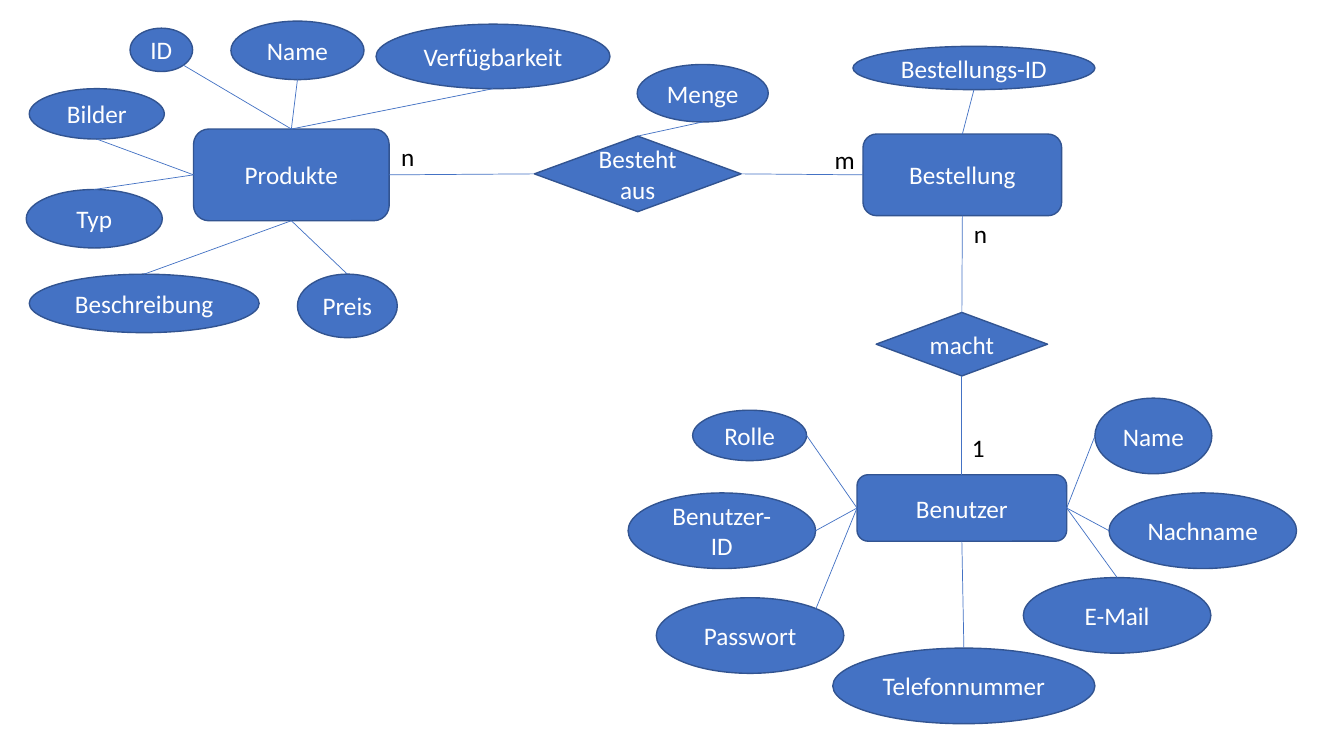
"""Build an entity-relationship diagram of a shop: products, orders and users."""
import lxml.etree
import pptx
import pptx.dml.color
import pptx.enum.shapes
import pptx.enum.text
import pptx.oxml.ns
import pptx.util

Inches, Pt = pptx.util.Inches, pptx.util.Pt
MSO = pptx.enum.shapes.MSO_SHAPE
qn = pptx.oxml.ns.qn


def rgb(value):
    return pptx.dml.color.RGBColor.from_string(value)


class Diagram:
    FONT, SIZE = "Calibri", 18
    FILL, OUTLINE, LIGHT, DARK = "4472C4", "325491", "FFFFFF", "000000"
    SITES = {
        "top": (0.5, 0, 0, 0),
        "left": (0, 0.5, 1, 2),
        "bottom": (0.5, 1, 2, 4),
        "right": (1, 0.5, 3, 6),
        "bottom right": (0.85, 0.85, None, 5),
        "top right": (0.85, 0.15, None, 7),
    }

    def __init__(self, slide):
        self.s = slide

    def add_text(self, sp, text, color):
        tf = sp.text_frame
        tf.word_wrap = True
        p = tf.paragraphs[0]
        r = p.add_run()
        r.text = text
        r.font.name, r.font.size = self.FONT, Pt(self.SIZE)
        r.font.color.rgb = rgb(color)
        return tf, p

    def node(self, kind, text, box):
        sp = self.s.shapes.add_shape(kind, *map(Inches, box))
        sp.shadow.inherit = False
        sp.fill.solid()
        sp.fill.fore_color.rgb = rgb(self.FILL)
        sp.line.color.rgb = rgb(self.OUTLINE)
        sp.line.width = Pt(1)
        tf, p = self.add_text(sp, text, self.LIGHT)
        tf.vertical_anchor = pptx.enum.text.MSO_ANCHOR.MIDDLE
        p.alignment = pptx.enum.text.PP_ALIGN.CENTER
        return sp

    def label(self, text, left, top, width=0.38):
        sp = self.s.shapes.add_textbox(*map(Inches, (left, top, width, 0.4)))
        tf, p = self.add_text(sp, text, self.DARK)
        tf.auto_size = pptx.enum.text.MSO_AUTO_SIZE.SHAPE_TO_FIT_TEXT

    def site(self, sp, side):
        fx, fy, corner, oval = self.SITES[side]
        point = int(sp.left + fx * sp.width), int(sp.top + fy * sp.height)
        return point, oval if sp.auto_shape_type == MSO.OVAL else corner

    def link(self, start, start_side, end, end_side):
        (a, i), (b, j) = self.site(start, start_side), self.site(end, end_side)
        cx = self.s.shapes.add_connector(pptx.enum.shapes.MSO_CONNECTOR.STRAIGHT, *a, *b)
        cx.line.color.rgb = rgb(self.FILL)
        cx.line.width = Pt(0.5)
        lxml.etree.SubElement(cx._element.spPr, qn("a:effectLst"))
        ends = cx._element.find(".//" + qn("p:cNvCxnSpPr"))
        for tag, sp, idx in (("a:stCxn", start, i), ("a:endCxn", end, j)):
            lxml.etree.SubElement(ends, qn(tag), id=str(sp.shape_id), idx=str(idx))

    def attributes(self, owner, rows):
        for text, box, side, owner_side in rows:
            self.link(self.node(MSO.OVAL, text, box), side, owner, owner_side)


prs = pptx.Presentation()
prs.slide_width, prs.slide_height = Inches(13.33), Inches(7.5)
d = Diagram(prs.slides.add_slide(prs.slide_layouts[6]))

produkte = d.node(MSO.ROUNDED_RECTANGLE, "Produkte", (1.92, 1.28, 1.94, 0.91))
bestellung = d.node(MSO.ROUNDED_RECTANGLE, "Bestellung", (8.56, 1.33, 1.97, 0.81))
benutzer = d.node(MSO.ROUNDED_RECTANGLE, "Benutzer", (8.5, 4.71, 2.08, 0.66))
besteht_aus = d.node(MSO.DIAMOND, "Besteht aus", (5.3, 1.35, 2.05, 0.75))
macht = d.node(MSO.DIAMOND, "macht", (8.69, 3.1, 1.7, 0.63))

d.link(produkte, "right", besteht_aus, "left")
d.link(besteht_aus, "right", bestellung, "left")
d.link(macht, "top", bestellung, "bottom")
d.link(benutzer, "top", macht, "bottom")

d.attributes(produkte, [
    ("ID", (1.29, 0.28, 0.62, 0.43), "bottom right", "top"),
    ("Name", (2.29, 0.21, 1.32, 0.58), "bottom", "top"),
    ("Verfügbarkeit", (3.73, 0.24, 2.32, 0.64), "bottom", "top"),
    ("Bilder", (0.29, 0.88, 1.34, 0.5), "bottom", "left"),
    ("Typ", (0.26, 1.88, 1.35, 0.58), "top", "left"),
    ("Beschreibung", (0.29, 2.72, 2.28, 0.58), "top", "bottom"),
    ("Preis", (2.95, 2.72, 0.99, 0.63), "top", "bottom"),
])
d.attributes(besteht_aus, [("Menge", (6.32, 0.64, 1.3, 0.57), "bottom", "top")])
d.attributes(bestellung, [("Bestellungs-ID", (8.46, 0.46, 2.4, 0.43), "bottom", "top")])
d.attributes(benutzer, [
    ("Rolle", (6.87, 4.07, 1.13, 0.5), "right", "left"),
    ("Benutzer-ID", (6.23, 4.89, 1.86, 0.75), "right", "left"),
    ("Passwort", (6.51, 5.93, 1.86, 0.75), "top right", "left"),
    ("Telefonnummer", (8.26, 6.43, 2.6, 0.75), "top", "bottom"),
    ("E-Mail", (10.15, 5.73, 1.86, 0.75), "top", "right"),
    ("Nachname", (11, 4.89, 1.86, 0.75), "left", "right"),
    ("Name", (10.86, 3.95, 1.16, 0.75), "left", "right"),
])

d.label("n", 3.88, 1.35, 0.43)
d.label("m", 8.18, 1.38)
d.label("n", 9.56, 2.12)
d.label("1", 9.54, 4.24)

prs.save("out.pptx")
